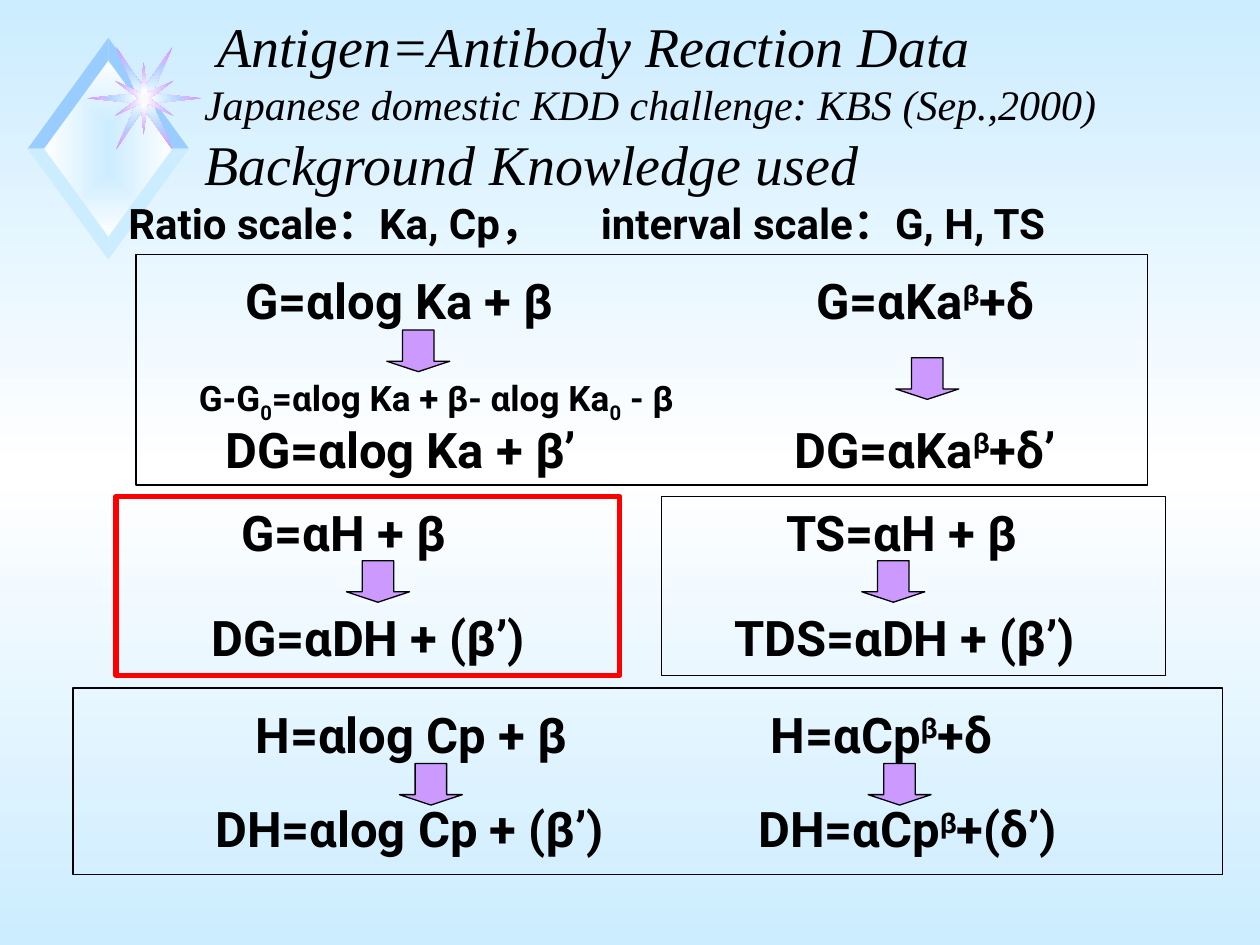
from copy import deepcopy
from itertools import product
from math import atan2

from lxml import etree
from pptx import Presentation
from pptx.dml.color import RGBColor
from pptx.enum.shapes import MSO_SHAPE as Preset
from pptx.enum.text import MSO_ANCHOR as Anchor, MSO_AUTO_SIZE as AutoSize, PP_ALIGN as Align
from pptx.oxml.ns import qn
from pptx.util import Inches, Pt

rgb = RGBColor.from_string
BLACK, RED, VIOLET, SKY, PALE, WHITE = "000000", "FF0000", "CC99FF", "99CCFF", "CCECFF", "FFFFFF"

deck = Presentation()
deck.slide_width, deck.slide_height = Inches(10), Inches(7.5)
cell = deck.slide_width // 1000  # grid of 1000 columns by 750 rows
slide = deck.slides.add_slide(deck.slide_layouts[5])
shapes = slide.shapes


def blend(fill, colours, from_centre):
    fill.gradient()
    stops = fill.gradient_stops[0]._gs.getparent()
    if len(colours) == 3:
        stops.insert(1, deepcopy(stops[0]))
    for i, (stop, colour) in enumerate(zip(fill.gradient_stops, colours)):
        stop.color.rgb = rgb(colour)
        stop._gs.set("pos", str(100000 * i // (len(colours) - 1)))
    if not from_centre:
        fill.gradient_angle = 270
        return
    linear = stops.getparent().find(qn("a:lin"))
    centre = etree.Element(qn("a:path"), path="rect")
    etree.SubElement(centre, qn("a:fillToRect"), l="50000", t="50000", r="50000", b="50000")
    stops.getparent().replace(linear, centre)


def write(left, top, width, height, size, markup):
    box = shapes.add_textbox(left * cell, top * cell, width * cell, height * cell)
    box.text_frame.word_wrap = False
    line = box.text_frame.paragraphs[0]
    if "\t" in markup:
        tabs = etree.SubElement(line._p.get_or_add_pPr(), qn("a:tabLst"))
        etree.SubElement(tabs, qn("a:tab"), pos=str(375 * cell), algn="l")
    line.font.name, line.font.size, line.font.bold = "Roboto", Pt(size), True
    line.font.color.rgb = rgb(BLACK)
    for part in markup.split("|"):
        run = line.add_run()
        run.text = part.lstrip("^_")
        if part[0] in "^_":
            run.font._element.set("baseline", "30000" if part[0] == "^" else "-25000")


blend(slide.background.fill, [PALE, WHITE, PALE], False)

ALL_SIDES = list(product((1, -1), repeat=2))
DIAMOND, STAR = (86, 118), (114.5, 78)
FRAME = [(0, 70), (0, 88), (64, 0), (51, 0)]
ornament = [
    (DIAMOND, [(0, 71), (52, 0)], ALL_SIDES, [PALE, WHITE]),
    (DIAMOND, FRAME, [(1, -1)], [SKY]),
    (DIAMOND, FRAME, [(-1, -1)], [SKY]),
    (DIAMOND, FRAME, [(1, 1)], [PALE]),
    (DIAMOND, FRAME, [(-1, 1)], [PALE]),
    (STAR, [(0, 8), (22.5, 41), (6.5, 4), (45.5, 0)], ALL_SIDES, [WHITE, VIOLET]),
    (STAR, [(0, 8), (16.5, 30), (6.5, 4), (33.5, 0)], ALL_SIDES, [WHITE, SKY]),
    (STAR, [(0, 29), (2.5, 4), (23.5, 14.5), (4.5, 0)], ALL_SIDES, [WHITE, VIOLET]),
    (STAR, [(0, 7), (1, 2), (5.5, 4), (2.5, 0)], ALL_SIDES, ["F9F9F9"]),
]
for (cx, cy), quarter, sides, colours in ornament:
    points = [(sx * x, sy * y) for sx, sy in sides for x, y in quarter]
    if sides is ALL_SIDES:
        points = sorted(set(points), key=lambda p: atan2(p[1], p[0]))
    outline = [(cx + x, cy + y) for x, y in points]
    pen = shapes.build_freeform(*outline[0], scale=cell)
    pen.add_line_segments(outline[1:], close=True)
    facet = pen.convert_to_shape()
    facet.shadow.inherit = False
    facet.line.fill.background()
    if len(colours) == 1:
        facet.fill.solid()
        facet.fill.fore_color.rgb = rgb(colours[0])
    else:
        blend(facet.fill, colours, True)

title = shapes.title
title.left, title.top, title.width, title.height = [n * cell for n in (152, 38, 735, 123)]
heading = title.text_frame
heading.text = "\n".join([
    " Antigen=Antibody Reaction Data",
    "Japanese domestic KDD challenge: KBS (Sep.,2000)",
    "Background Knowledge used",
])
heading.auto_size, heading.vertical_anchor = AutoSize.NONE, Anchor.BOTTOM
for line, size in zip(heading.paragraphs, (32, 24, 32)):
    line.alignment = Align.LEFT
    line.font.name, line.font.size, line.font.italic = "Times New Roman", Pt(size), True
    line.font.color.rgb = rgb(BLACK)

write(92, 152, 812, 50, 24, "Ratio scale：Ka, Cp，\tinterval scale：G, H, TS")

derivations = [
    (210, 328, (185, 281, "G=αlog Ka + β"), (169, 321, "DG=αlog Ka + β’"), (307, 262)),
    (210, 328, (638, 208, "G=αKa|^β|+δ"), (621, 248, "DG=αKa|^β|+δ’"), (711, 284)),
    (394, 477, (182, 193, "G=αH + β"), (158, 285, "DG=αDH + (β’)"), (275, 445)),
    (394, 477, (614, 209, "TS=αH + β"), (573, 301, "TDS=αDH + (β’)"), (684, 445)),
    (554, 629, (193, 283, "H=αlog Cp + β"), (161, 353, "DH=αlog Cp + (β’)"), (317, 606)),
    (554, 629, (602, 210, "H=αCp|^β|+δ"), (592, 280, "DH=αCp|^β|+(δ’)"), (689, 606)),
]
for law_top, change_top, law, change, (arrow_left, arrow_top) in derivations:
    for top, (left, width, formula) in ((law_top, law), (change_top, change)):
        write(left, top, width, 57, 28, formula)
    arrow = shapes.add_shape(Preset.DOWN_ARROW, arrow_left * cell, arrow_top * cell, 50 * cell, 33 * cell)
    arrow.adjustments[0], arrow.adjustments[1] = 0.5, 0.25
    arrow.shadow.inherit = False
    arrow.fill.solid()
    arrow.fill.fore_color.rgb = rgb(VIOLET)
    arrow.line.color.rgb, arrow.line.width = rgb(BLACK), Pt(0.75)

write(148, 294, 418, 48, 20, "G-G|_0|=αlog Ka + β- αlog Ka|_0| - β")

groups = [
    (108, 202, 803, 183, BLACK, 0.75),
    (92, 394, 400, 142, RED, 3),
    (525, 394, 400, 142, BLACK, 0.75),
    (58, 546, 912, 148, BLACK, 0.75),
]
for left, top, width, height, colour, weight in groups:
    group = shapes.add_shape(Preset.RECTANGLE, left * cell, top * cell, width * cell, height * cell)
    group.shadow.inherit = False
    group.fill.background()
    group.line.color.rgb, group.line.width = rgb(colour), Pt(weight)

deck.save("out.pptx")
